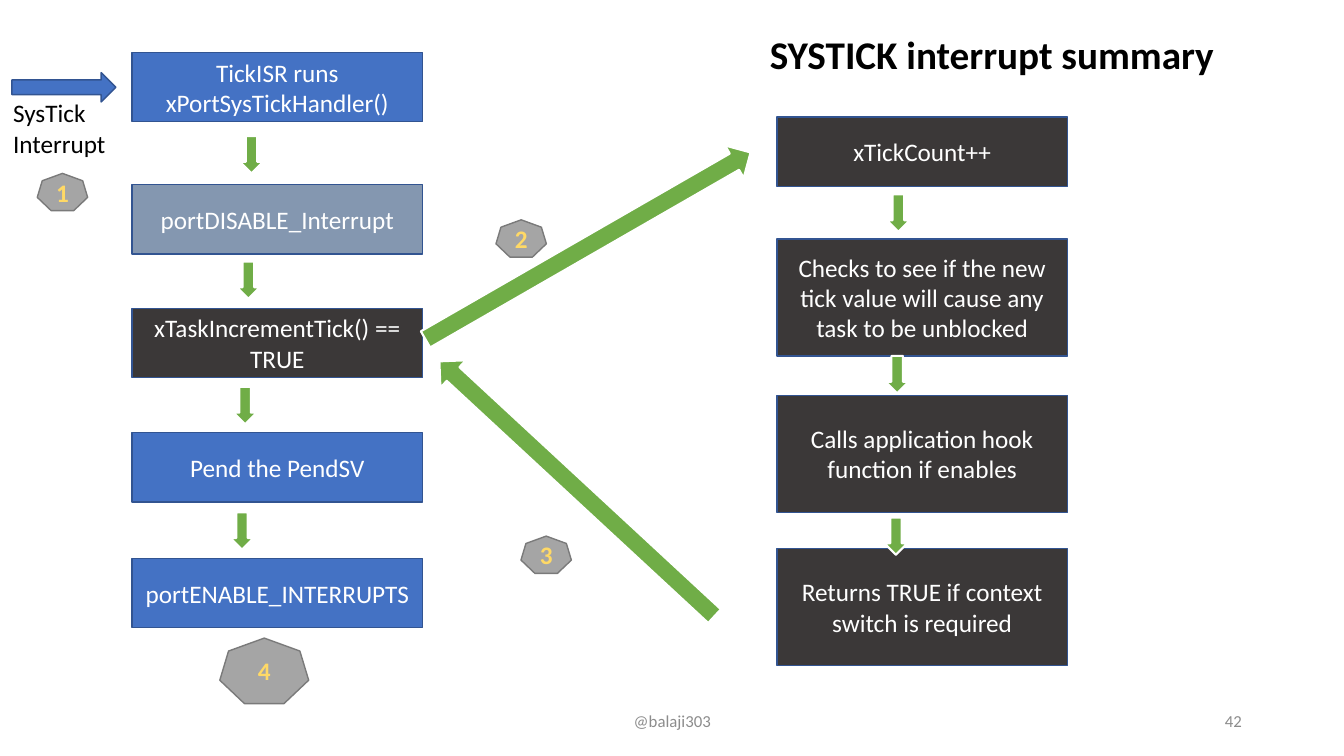
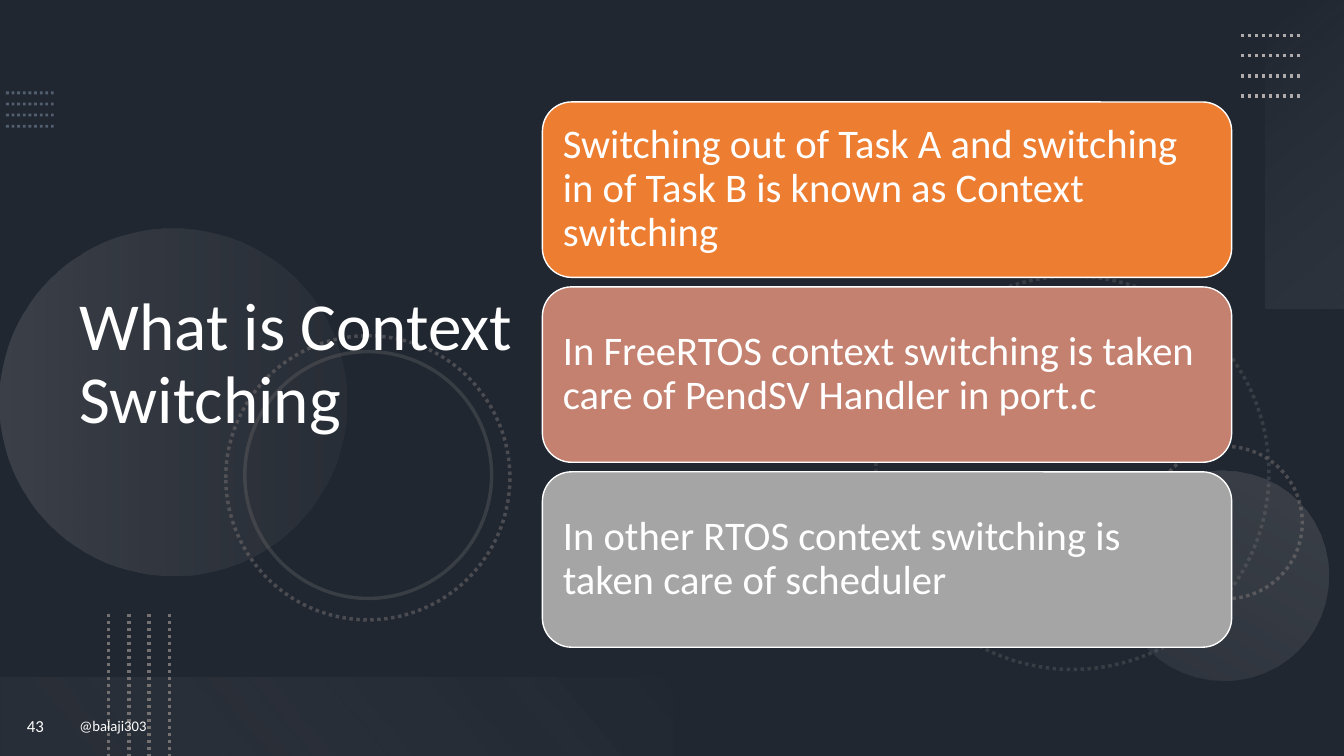
from lxml import etree
from pptx import Presentation
from pptx import util as u
from pptx.dml.color import RGBColor
from pptx.enum import dml, shapes, text
from pptx.oxml.ns import qn

SHAPE = shapes.MSO_SHAPE
ALIGN = text.PP_ALIGN
ANCHOR = text.MSO_ANCHOR

WIDTH, HEIGHT = 33.87, 19.05
FONT = "Calibri"
WHITE, BLACK = "FFFFFF", "000000"
BLUE, BLUE_EDGE, STEEL, CHARCOAL = "4472C4", "325491", "8497B0", "3B3838"
GREEN, ORANGE, ROSE = "70AD47", "ED7D31", "C48170"
GREY, GREY_EDGE, GOLD, MUTED = "A5A5A5", "7A7A7A", "FFD966", "8C8C8C"
SLATE, SILVER, ASH = "44546A", "AFABAB", "767171"
HANDLE = "@balaji303"


def rgb(value):
    return RGBColor.from_string(value)


def set_opacity(color_holder, percent):
    """Give the first colour inside a fill or gradient stop an opacity."""
    etree.SubElement(color_holder[0], qn("a:alpha"), val=str(percent * 1000))


def set_line_opacity(shape, percent):
    line = shape.element.spPr.find(qn("a:ln"))
    set_opacity(line.find(qn("a:solidFill")), percent)


def cm(*lengths):
    return [u.Cm(length) for length in lengths]


class Deck:
    """Holds the shared style and the slide being drawn."""

    def __init__(self):
        self.prs = Presentation()
        self.prs.slide_width, self.prs.slide_height = cm(WIDTH, HEIGHT)
        self.slide = None

    def new_slide(self, background):
        self.slide = self.prs.slides.add_slide(self.prs.slide_layouts[5])
        fill = self.slide.background.fill
        fill.solid()
        fill.fore_color.rgb = rgb(background)

    def add_text(self, holder, content, size, color, align=ALIGN.LEFT, bold=False,
                 anchor=ANCHOR.MIDDLE, spacing=None, inset=None):
        """Fill a shape with text, one paragraph per line of content."""
        frame = holder.text_frame
        frame.word_wrap = True
        frame.auto_size = text.MSO_AUTO_SIZE.NONE
        frame.vertical_anchor = anchor
        if inset is not None:
            frame.margin_left = frame.margin_right = u.Cm(inset)
            frame.margin_top = frame.margin_bottom = u.Cm(inset)
        for index, line in enumerate(content.split("\n")):
            paragraph = frame.add_paragraph() if index else frame.paragraphs[0]
            paragraph.alignment = align
            if spacing:
                paragraph.line_spacing = spacing
            run = paragraph.add_run()
            run.text = line
            run.font.name = FONT
            run.font.size = u.Pt(size)
            run.font.bold = bold
            run.font.color.rgb = rgb(color)

    def title(self, content, place, size, color, **style):
        """Place the title in front of everything drawn so far."""
        title = self.slide.shapes.title
        title.left, title.top, title.width, title.height = cm(*place)
        self.slide.shapes.element.append(title.element)
        self.add_text(title, content, size, color, **style)

    def label(self, content, place, size, color, **style):
        box = self.slide.shapes.add_textbox(*cm(*place))
        self.add_text(box, content, size, color, **style)

    def shape(self, kind, place, fill=None, edge=None, weight=1, rotation=0):
        shape = self.slide.shapes.add_shape(kind, *cm(*place))
        shape.shadow.inherit = False
        shape.rotation = rotation
        if fill:
            shape.fill.solid()
            shape.fill.fore_color.rgb = rgb(fill)
        else:
            shape.fill.background()
        if edge:
            shape.line.color.rgb = rgb(edge)
            shape.line.width = u.Pt(weight)
        else:
            shape.line.fill.background()
        return shape

    def step(self, content, place, fill):
        box = self.shape(SHAPE.RECTANGLE, place, fill, BLUE_EDGE)
        self.add_text(box, content, 18, WHITE, align=ALIGN.CENTER)

    def flow_arrow(self, left, top, width=0.58, height=0.94, rotation=0):
        self.shape(SHAPE.DOWN_ARROW, (left, top, width, height), GREEN, WHITE, 1.5, rotation)

    def badge(self, number, left, top, width=1.27, height=0.94):
        badge = self.shape(SHAPE.HEPTAGON, (left, top, width, height), GREY, GREY_EDGE)
        self.add_text(badge, number, 18, GOLD, align=ALIGN.CENTER, bold=True)

    def card(self, content, place, fill):
        card = self.shape(SHAPE.ROUNDED_RECTANGLE, place, fill, WHITE)
        self.add_text(card, content, 29, WHITE, spacing=0.9, inset=0.3)

    def veil(self, color, opacity):
        """Tint the whole slide."""
        veil = self.shape(SHAPE.RECTANGLE, (0, 0, WIDTH, HEIGHT), color)
        set_opacity(veil.element.spPr.find(qn("a:solidFill")), opacity)

    def glow(self, kind, place, rotation, stops, angle):
        """Draw a see-through gradient; stops are (position, colour, opacity)."""
        glow = self.shape(kind, place, WHITE, rotation=rotation)
        gradient = etree.Element(qn("a:gradFill"), rotWithShape="1")
        stop_list = etree.SubElement(gradient, qn("a:gsLst"))
        for position, color, opacity in stops:
            stop = etree.SubElement(stop_list, qn("a:gs"), pos=str(position * 1000))
            etree.SubElement(stop, qn("a:srgbClr"), val=color)
            set_opacity(stop, opacity)
        etree.SubElement(gradient, qn("a:lin"), ang=str(angle * 60000), scaled="0")
        properties = glow.element.spPr
        properties.replace(properties.find(qn("a:solidFill")), gradient)

    def ring(self, left, top, size, opacity, dotted=True):
        ring = self.shape(SHAPE.OVAL, (left, top, size, size), edge=ASH, weight=2.5)
        if dotted:
            ring.line.dash_style = dml.MSO_LINE.ROUND_DOT
        set_line_opacity(ring, opacity)

    def dots(self, start, end, color, weight=2.5, opacity=100):
        dots = self.slide.shapes.add_connector(
            shapes.MSO_CONNECTOR.STRAIGHT, *cm(*start, *end))
        dots.line.color.rgb = rgb(color)
        dots.line.width = u.Pt(weight)
        dots.line.dash_style = dml.MSO_LINE.ROUND_DOT
        set_line_opacity(dots, opacity)
        etree.SubElement(dots.element.spPr, qn("a:effectLst"))


def draw_systick_summary(deck):
    deck.new_slide(WHITE)
    handler_steps = [
        ("TickISR runs\nxPortSysTickHandler()", 1.32, BLUE),
        ("portDISABLE_Interrupt", 4.65, STEEL),
        ("xTaskIncrementTick() == TRUE", 7.77, CHARCOAL),
        ("Pend the PendSV", 10.9, BLUE),
        ("portENABLE_INTERRUPTS", 14.07, BLUE),
    ]
    for content, top, fill in handler_steps:
        deck.step(content, (3.33, top, 7.32, 1.75), fill)

    tick_steps = [
        ("xTickCount++", 2.95, 1.75),
        ("Checks to see if the new tick value will cause any task to be unblocked", 6.02, 2.95),
        ("Calls application hook function if enables", 9.96, 2.95),
        ("Returns TRUE if context switch is required", 13.82, 2.95),
    ]
    for content, top, height in tick_steps:
        deck.step(content, (19.58, top, 7.32, height), CHARCOAL)

    for i in range(len(handler_steps) - 1):
        deck.flow_arrow(6.05 - 0.08 * i, 3.43 + 3.16 * i)
    for i in range(len(tick_steps) - 1):
        deck.flow_arrow(22.35 - 0.03 * i, 4.9 + 4.07 * i)
    deck.flow_arrow(14.35, 1.47, 0.94, 9.45, rotation=240.1)
    deck.flow_arrow(14.07, 7.59, 0.94, 9.45, rotation=132.8)

    deck.shape(SHAPE.RIGHT_ARROW, (0.3, 1.83, 2.62, 0.74), BLUE, BLUE_EDGE)
    deck.label("SysTick\nInterrupt", (0.08, 2.34, 3.2, 1.8), 18, BLACK, anchor=ANCHOR.TOP)

    deck.badge("1", 0.94, 4.37)
    deck.badge("2", 12.5, 5.54)
    deck.badge("3", 13.13, 13.51)
    deck.badge("4", 5.54, 16.08, 2.24, 1.65)

    deck.title("SYSTICK interrupt summary", (19.15, 0.64, 11.84, 1.45), 28, BLACK, bold=True)
    deck.label(HANDLE, (11.23, 17.65, 11.43, 1.02), 12, MUTED, align=ALIGN.CENTER)
    deck.label("42", (23.93, 17.65, 7.62, 1.02), 12, MUTED, align=ALIGN.RIGHT)


def draw_backdrop(deck):
    deck.veil(BLACK, 53)
    for i in range(4):
        y = 3.18 - 0.28 * i
        deck.dots((0.15, y), (1.35, y), STEEL, weight=2, opacity=50)

    deck.ring(22.07, 6.96, 9.91, opacity=30)
    deck.ring(28.98, 11.25, 3.84, opacity=50)
    deck.glow(SHAPE.OVAL, (0, 5.77, 8.74, 8.74), 270,
              [(0, SILVER, 20), (100, ASH, 10)], 90)
    deck.glow(SHAPE.OVAL, (28.19, 11.86, 5.28, 5.28), 210,
              [(0, SILVER, 10), (100, SILVER, 20)], 90)
    deck.ring(5.69, 8.46, 7.16, opacity=50)
    deck.ring(6.17, 8.86, 6.22, opacity=30, dotted=False)

    deck.glow(SHAPE.RECTANGLE, (29.01, 2.9, 7.77, 1.98), 270,
              [(0, "F5F5F5", 0), (100, SILVER, 10)], 140)
    for i in range(4):
        y = 0.89 + 0.51 * i
        deck.dots((31.27, y), (32.79, y), SILVER)
    deck.glow(SHAPE.RECTANGLE, (0, 17.07, 16.94, 1.98), 180,
              [(10, ASH, 10), (100, "F1F0F0", 0)], 140)
    for i in range(4):
        x = 4.27 - 0.51 * i
        deck.dots((x, 15.47), (x, HEIGHT), ASH)


def draw_context_switching(deck):
    deck.new_slide(SLATE)
    draw_backdrop(deck)
    deck.title("What is Context Switching", (1.75, 1.37, 11.66, 15.67), 48, WHITE, spacing=0.9)
    deck.label(HANDLE, (1.75, 17.53, 23.11, 1.52), 10.5, WHITE, align=ALIGN.JUSTIFY)
    deck.label("43", (0, 17.53, 1.78, 1.52), 12, WHITE, align=ALIGN.CENTER)

    facts = [
        ("Switching out of Task A and switching in of Task B is known as Context switching", ORANGE),
        ("In FreeRTOS context switching is taken care of PendSV Handler in port.c", ROSE),
        ("In other RTOS context switching is taken care of scheduler", GREY),
    ]
    for i, (content, fill) in enumerate(facts):
        deck.card(content, (13.67, 2.57 + 4.66 * i, 17.37, 4.42), fill)


def main():
    deck = Deck()
    draw_systick_summary(deck)
    draw_context_switching(deck)
    deck.prs.save("out.pptx")


if __name__ == "__main__":
    main()
